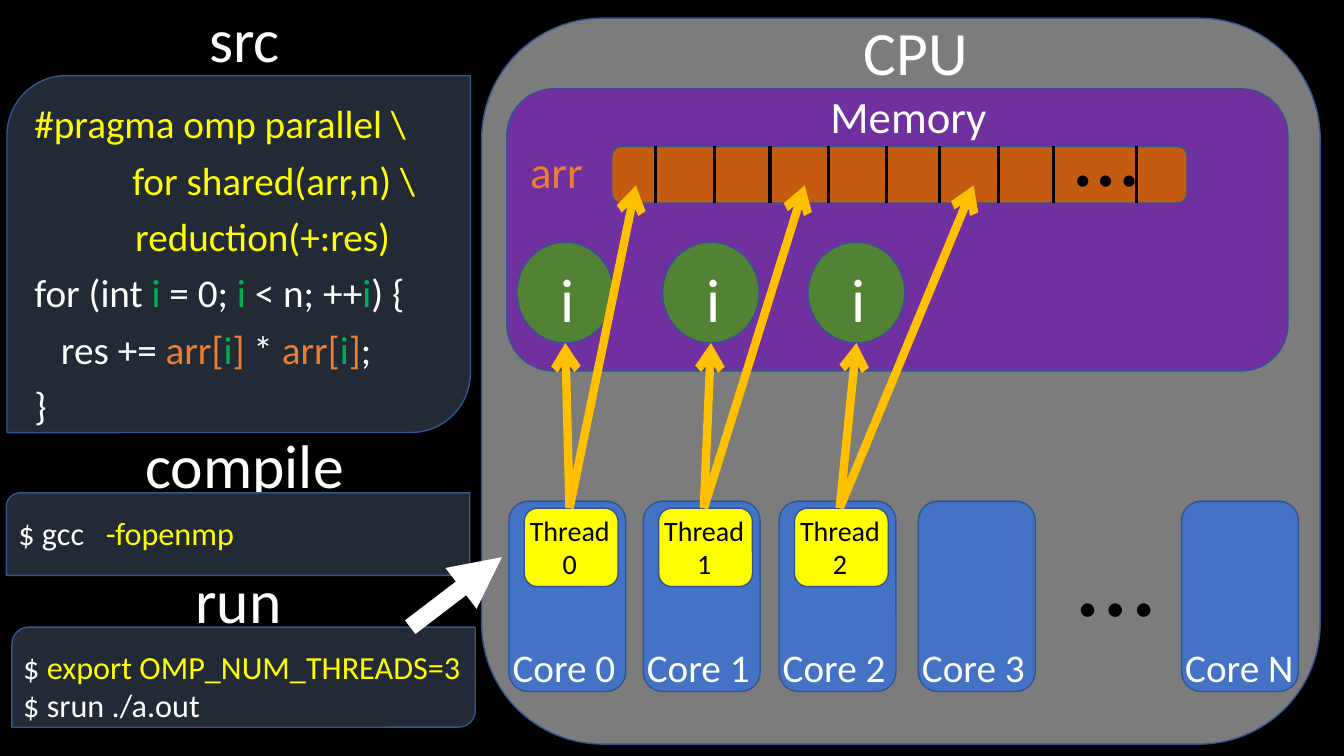
from lxml import etree
from pptx import Presentation
from pptx.dml.color import RGBColor
from pptx.enum.shapes import MSO_CONNECTOR, MSO_SHAPE
from pptx.enum.text import PP_ALIGN
from pptx.oxml.ns import qn
from pptx.util import Pt

ROUNDED = MSO_SHAPE.ROUNDED_RECTANGLE
DIAGONAL = MSO_SHAPE.ROUND_2_DIAG_RECTANGLE
OVAL = MSO_SHAPE.OVAL
STRAIGHT = MSO_CONNECTOR.STRAIGHT
LEFT = PP_ALIGN.LEFT
CENTER = PP_ALIGN.CENTER

FONT = "Calibri"
COLORS = {
    "black": "000000",
    "white": "FFFFFF",
    "yellow": "FFFF00",
    "green": "00B050",
    "orange": "ED7D31",
    "outline": "325491",
    "panel": "222A35",
    "cpu": "7C7C7C",
    "core": "4472C4",
    "memory": "7030A0",
    "array": "C55A11",
    "index": "548235",
    "arrow": "FFC000",
}
CODE = [
    (0, [("#pragma omp parallel \\", "yellow")]),
    (70, [("for shared(arr,n) \\", "yellow")]),
    (72, [("reduction(+:res)", "yellow")]),
    (0, [("for (int ", "white"), ("i", "green"), (" = 0; ", "white"),
         ("i", "green"), (" < n; ++", "white"), ("i", "green"),
         (") {", "white")]),
    (19, [("res += ", "white"), ("arr[", "orange"), ("i", "green"),
          ("]", "orange"), (" * ", "white"), ("arr[", "orange"),
          ("i", "green"), ("]", "orange"), (";", "white")]),
    (0, [("}", "white")]),
]
COMPILE = [(0, [("$ gcc\t", "white"), ("-fopenmp", "yellow")])]
RUN = [
    (0, [("$ ", "white"), ("export OMP_NUM_THREADS=3", "yellow")]),
    (0, [("$ srun ./a.out", "white")]),
]
CORES = [("Core 0", 19.5), ("Core 1", 115.5), ("Core 2", 212.5),
         ("Core 3", 312)]
THREADS = 3
DIVIDERS = [31, 73.5, 113, 155, 196, 234, 276, 315.5, 375]


def color(name):
    return RGBColor.from_string(COLORS[name])


def add_box(slide, kind, box, fill):
    shape = slide.shapes.add_shape(kind, *map(Pt, box))
    shape.shadow.inherit = False
    shape.fill.solid()
    shape.fill.fore_color.rgb = color(fill)
    shape.line.color.rgb = color("outline")
    shape.line.width = Pt(1)


def add_lines(slide, box, lines, size, align=LEFT, line_spacing=1.0,
              space_before=0, tab=None):
    text_frame = slide.shapes.add_textbox(*map(Pt, box)).text_frame
    text_frame.word_wrap = True
    for number, (indent, pieces) in enumerate(lines):
        paragraph = (text_frame.add_paragraph() if number
                     else text_frame.paragraphs[0])
        paragraph.alignment = align
        paragraph.line_spacing = line_spacing
        paragraph.space_before = Pt(space_before)
        properties = paragraph._p.get_or_add_pPr()
        properties.set("marL", str(Pt(indent)))
        if tab:
            stops = etree.SubElement(properties, qn("a:tabLst"))
            etree.SubElement(stops, qn("a:tab"), pos=str(Pt(tab)), algn="l")
        paragraph.font.name = FONT
        paragraph.font.size = Pt(size)
        for text, name in pieces:
            run = paragraph.add_run()
            run.text = text
            run.font.color.rgb = color(name)


def add_label(slide, box, text, size, name="white", align=CENTER):
    add_lines(slide, box, [(0, [(text, name)])], size, align)


def add_line(slide, start, end, name, width, head=None):
    connector = slide.shapes.add_connector(
        STRAIGHT, *map(Pt, (*start, *end)))
    connector.line.color.rgb = color(name)
    connector.line.width = Pt(width)
    if head:
        etree.SubElement(connector.line._get_or_add_ln(), qn("a:tailEnd"),
                         type=head)
    etree.SubElement(connector._element.spPr, qn("a:effectLst"))


def add_panel(slide, box, title, title_offset, text_box, lines, size,
              **options):
    left, top, width, height = box
    title_left, title_top = title_offset
    add_label(slide, (left + title_left, top + title_top, 212.5, 60.5),
              title, 44)
    add_box(slide, DIAGONAL, box, "panel")
    text_left, text_top, text_width, text_height = text_box
    add_lines(slide, (left + text_left, top + text_top, text_width,
                      text_height), lines, size, **options)


def add_array(slide, box):
    left, top, width, height = box
    add_label(slide, (left - 65.5, top - 5.5, 62, 46), "arr", 32, "orange",
              LEFT)
    add_box(slide, ROUNDED, box, "array")
    add_label(slide, (left + 323.5, top - 40.5, 51, 87), "…", 66, "black")
    for offset in DIVIDERS:
        add_line(slide, (left + offset, top), (left + offset, top + height),
                 "black", 2.25)


def add_memory(slide, box):
    left, top, width, height = box
    add_box(slide, ROUNDED, box, "memory")
    add_label(slide, (left + 52.5, top - 3.5, 469, 46), "Memory", 32)
    add_array(slide, (left + 75, top + 41, 411, 40.5))
    targets = []
    for number in range(THREADS):
        circle = left + 7.3 + 104 * number
        add_box(slide, OVAL, (circle, top + 109.5, 69, 72), "index")
        add_label(slide, (circle + 24, top + 119, 26, 60.5), "i", 44,
                  align=LEFT)
        targets.append([(circle + 34.5, top + 181.5),
                        (left + 92.2 + 120.6 * number, top + 69)])
    return targets


def add_core(slide, left, top, label):
    add_box(slide, ROUNDED, (left, top, 83.5, 136), "core")
    add_label(slide, (left - 4.5, top + 98, 106.5, 41), label, 28,
              align=LEFT)


def add_thread(slide, left, top, number):
    add_box(slide, ROUNDED, (left + 11, top + 5, 67, 56), "yellow")
    add_label(slide, (left + 4.5, top + 5, 78, 55.5), f"Thread {number}", 20,
              "black")
    return left + 43.3, top + 5


def add_cpu(slide, box):
    left, top, width, height = box
    add_box(slide, ROUNDED, box, "cpu")
    add_label(slide, (left + 204, top - 6.5, 212.5, 60.5), "CPU", 44)
    targets = add_memory(slide, (left + 18, top + 50.5, 558, 201.5))
    core_top = top + 345
    for label, offset in CORES + [("Core N", 500)]:
        add_core(slide, left + offset, core_top, label)
    add_label(slide, (left + 399, core_top - 1, 108.5, 104.5), "…", 80,
              "black")
    starts = [add_thread(slide, left + offset, core_top, number)
              for number, (_, offset) in enumerate(CORES[:THREADS])]
    for start, ends in zip(starts, targets):
        for end in ends:
            add_line(slide, start, end, "arrow", 6, "arrow")


def main():
    presentation = Presentation()
    presentation.slide_width = Pt(960)
    presentation.slide_height = Pt(540)
    slide = presentation.slides.add_slide(presentation.slide_layouts[6])
    slide.background.fill.solid()
    slide.background.fill.fore_color.rgb = color("black")

    add_cpu(slide, (344, 13, 599, 518.5))
    add_panel(slide, (5, 54, 331, 255), "src", (63.5, -57),
              (12.5, 17.5, 320, 248), CODE, 28,
              line_spacing=0.9, space_before=10)
    add_panel(slide, (4.5, 352, 331, 59), "compile", (64, -50.5),
              (1.5, 11, 331, 35.5), COMPILE, 23, tab=62.5)
    add_panel(slide, (8.5, 448, 331, 71.5), "run", (55.5, -50),
              (1, 10.5, 331, 63.5), RUN, 23)
    add_line(slide, (293, 448), (358.5, 398), "white", 12.25, "triangle")

    presentation.save("out.pptx")


if __name__ == "__main__":
    main()
